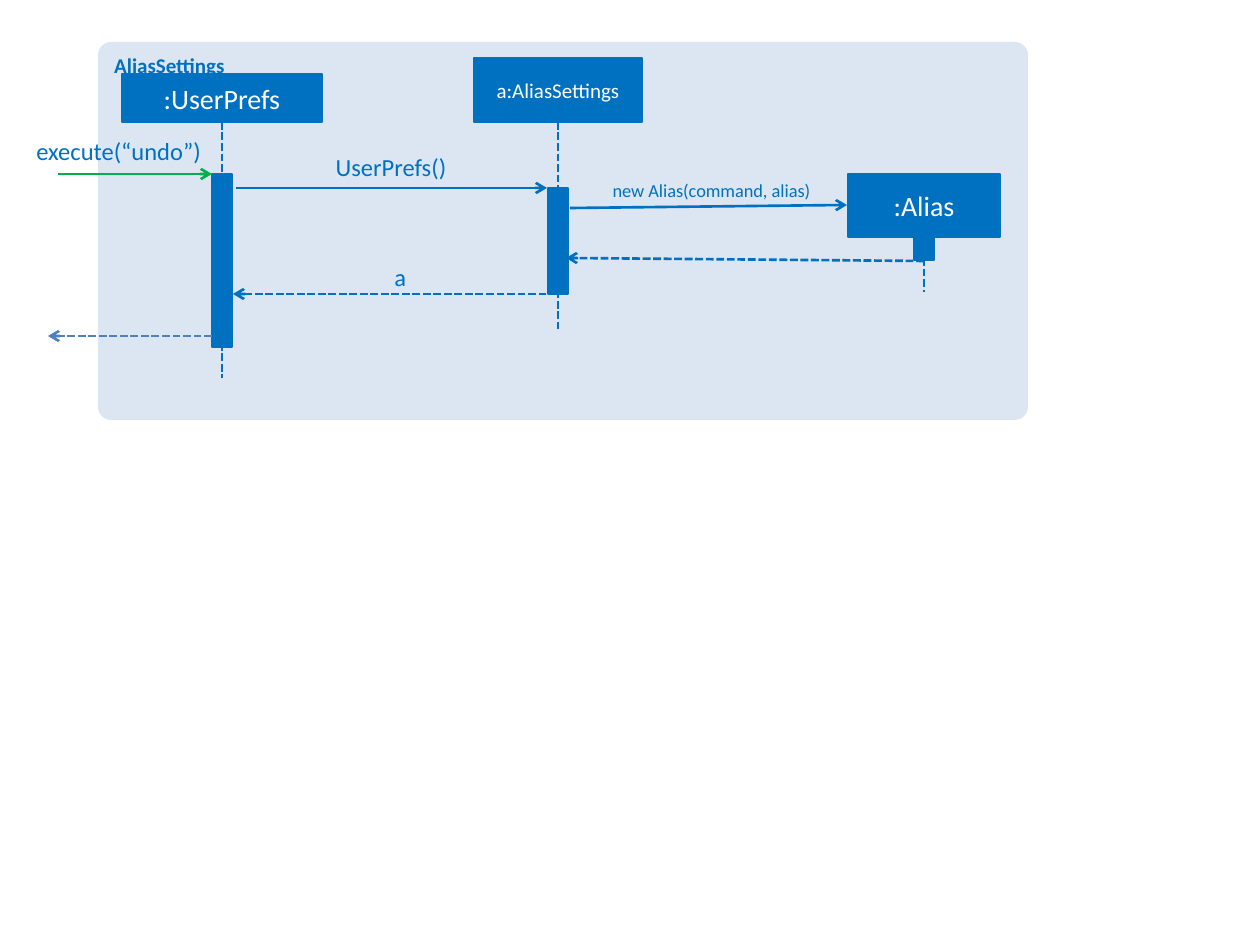
from lxml.etree import SubElement
from pptx import Presentation
from pptx.dml.color import RGBColor
from pptx.enum.dml import MSO_LINE as Dash
from pptx.enum.shapes import MSO_CONNECTOR as Link, MSO_SHAPE as Kind
from pptx.enum.text import MSO_ANCHOR as Anchor, PP_ALIGN as Align
from pptx.oxml.ns import qn
from pptx.util import Pt

BLUE = RGBColor(0x00, 0x70, 0xC0)
STEEL = RGBColor(0x4F, 0x81, 0xBD)
GREEN = RGBColor(0x00, 0xB0, 0x50)
PALE = RGBColor(0xDC, 0xE6, 0xF2)
WHITE = RGBColor(0xFF, 0xFF, 0xFF)

FRAME = (98, 42, 930, 378)
BAR = 20

# name, text size, box of the lane, head height, bar offset, bar height
LANES = [
    (":UserPrefs", 16, (24, 32, 200, 304), 48, 100, 173),
    ("a:AliasSettings", 12, (376, 16, 168, 271), 64, 130, 106),
    (":Alias", 16, (750, 132, 152, 118), 63, 48, 38),
]
# start, end, colour, dashed
ARROWS = [
    ((-40, 132), (114, 132), GREEN, False),
    ((138, 146), (449, 146), BLUE, False),
    ((472, 166), (749, 163), BLUE, False),
    ((826, 219), (468, 216), BLUE, True),
    ((459, 252), (135, 252), BLUE, True),
    ((114, 294), (-50, 294), STEEL, True),
]
# text, size, box, alignment
LABELS = [
    ("execute(“undo”)", 14, (-93, 94, 196, 30), Align.RIGHT),
    ("UserPrefs()", 14, (162, 110, 262, 30), Align.CENTER),
    ("new Alias(command, alias)", 10.5, (422, 137, 383, 23), Align.CENTER),
    ("a", 14, (278, 220, 30, 30), Align.RIGHT),
]


def px(*nums):
    return [round(n * 914400 / 126) for n in nums]


def shift(box, left, top):
    return (box[0] + left, box[1] + top, *box[2:])


def write(frame, text, size, color, align, bold=False):
    para = frame.paragraphs[0]
    para.text = text
    para.alignment = align
    font = para.runs[0].font
    font.name, font.size, font.bold = "Calibri", Pt(size), bold
    font.color.rgb = color


def block(shapes, box, fill, kind=Kind.RECTANGLE, width=0):
    """Add a filled shape, outlined in its own colour if width is given."""
    shape = shapes.add_shape(kind, *px(*box))
    shape.shadow.inherit = False
    shape.fill.solid()
    shape.fill.fore_color.rgb = fill
    if width:
        shape.line.color.rgb = fill
        shape.line.width = Pt(width)
    else:
        shape.line.fill.background()
    return shape


def stroke(shapes, start, end, color=BLUE, dashed=True, arrow=False):
    link = shapes.add_connector(Link.STRAIGHT, *px(*start, *end))
    link.line.color.rgb = color
    link.line.width = Pt(1.5)
    if dashed:
        link.line.dash_style = Dash.SQUARE_DOT
    if arrow:
        SubElement(link.line._get_or_add_ln(), qn("a:tailEnd"), type="arrow")
    SubElement(link._element.spPr, qn("a:effectLst"))


def lane(shapes, box, name, size, head, drop, length):
    """Add a lifeline, its activation bar and its head, centred in the box."""
    left, top, width, height = box
    axis = left + width // 2
    stroke(shapes, (axis, top + head), (axis, top + height))
    block(shapes, (axis - BAR // 2, top + drop, BAR, length), BLUE, width=0.75)
    title = block(shapes, (left, top, width, head), BLUE, width=1.5)
    title.text_frame.vertical_anchor = Anchor.MIDDLE
    write(title.text_frame, name, size, WHITE, Align.CENTER)


def label(shapes, box, text, size, align):
    frame = shapes.add_textbox(*px(*box)).text_frame
    frame.word_wrap = True
    frame.margin_left = frame.margin_right = 0
    frame.margin_top = frame.margin_bottom = 0
    write(frame, text, size, BLUE, align)


def diagram(shapes, box):
    left, top = box[:2]
    back = block(shapes, box, PALE, Kind.ROUNDED_RECTANGLE)
    back.adjustments[0] = 0.035
    back.text_frame.vertical_anchor = Anchor.TOP
    write(back.text_frame, "AliasSettings", 12, BLUE, Align.LEFT, True)
    for name, size, area, head, drop, length in LANES:
        lane(shapes, shift(area, left, top), name, size, head, drop, length)
    for start, end, color, dashed in ARROWS:
        stroke(shapes, shift(start, left, top), shift(end, left, top),
               color, dashed, True)
    for text, size, area, align in LABELS:
        label(shapes, shift(area, left, top), text, size, align)


def main():
    deck = Presentation()
    deck.slide_width, deck.slide_height = px(1260, 945)
    slide = deck.slides.add_slide(deck.slide_layouts[6])
    diagram(slide.shapes, FRAME)
    deck.save("out.pptx")


if __name__ == "__main__":
    main()
